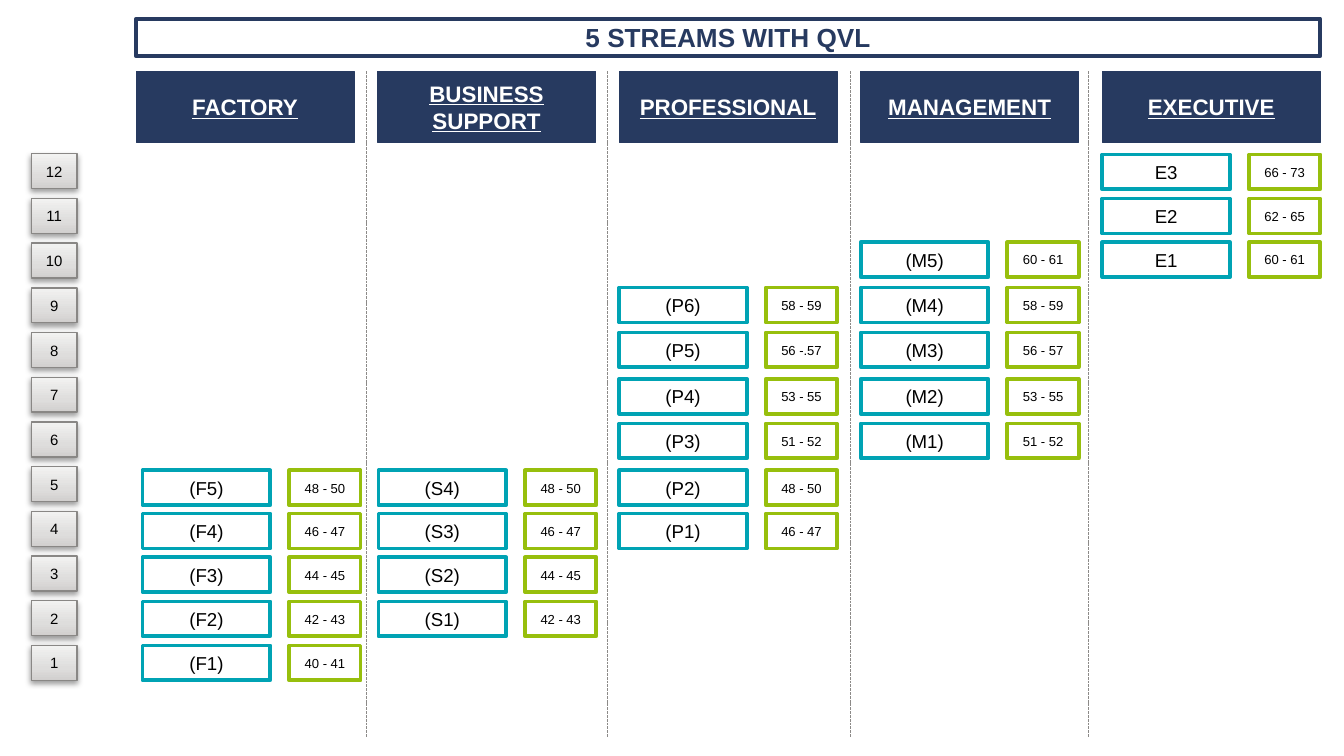
from lxml.etree import SubElement
from pptx import Presentation
from pptx.dml.color import RGBColor
from pptx.enum.dml import MSO_LINE_DASH_STYLE as DASH
from pptx.enum.shapes import MSO_CONNECTOR as CONNECTOR, MSO_SHAPE as SHAPE
from pptx.enum.text import MSO_ANCHOR as ANCHOR, MSO_AUTO_SIZE as AUTO_SIZE, PP_ALIGN as ALIGN
from pptx.oxml.ns import qn
from pptx.util import Pt

NAVY, TEAL, GREEN = "273A60", "00A3B4", "97BF0D"
WHITE, BLACK, GREY, LEVEL_LINE = "FFFFFF", "000000", "8C8A88", "898785"
LEVEL_STOPS = [(0, "D1CFCE"), (35, "DEDDDC"), (100, "F2F2F1")]

# Grid, in points
LEFT, PITCH, COL_W = 72.9, 129.4, 116.8
HEAD_Y, HEAD_H = 38.1, 38.2
ROW_H, GRADE_W, BAND_W = 18.7, 68.4, 38.2
BAND_DX = 78.6
LEVELS = 12
LEVEL_Y, LEVEL_PITCH = 82.4, 23.95
# Top of each grade row, from level 12 down to level 1
ROW_TOPS = [82.8, 106.4, 129.8, 154.1, 178.1, 203, 226.9, 252, 275.2, 298.6, 322.2, 345.8]
DIVIDERS = [196.4, 325.4, 455.7, 583.2]

# Name, indent of the rows, top level, grades with their bands
STREAMS = [
    ("FACTORY", 3.5, 5, [("(F5)", "48 - 50"), ("(F4)", "46 - 47"), ("(F3)", "44 - 45"),
                         ("(F2)", "42 - 43"), ("(F1)", "40 - 41")]),
    ("BUSINESS SUPPORT", 0.4, 5, [("(S4)", "48 - 50"), ("(S3)", "46 - 47"),
                                  ("(S2)", "44 - 45"), ("(S1)", "42 - 43")]),
    ("PROFESSIONAL", 0, 9, [("(P6)", "58 - 59"), ("(P5)", "56 -.57"), ("(P4)", "53 - 55"),
                            ("(P3)", "51 - 52"), ("(P2)", "48 - 50"), ("(P1)", "46 - 47")]),
    ("MANAGEMENT", 0, 10, [("(M5)", "60 - 61"), ("(M4)", "58 - 59"), ("(M3)", "56 - 57"),
                           ("(M2)", "53 - 55"), ("(M1)", "51 - 52")]),
    ("EXECUTIVE", 0, 12, [("E3", "66 - 73"), ("E2", "62 - 65"), ("E1", "60 - 61")]),
]


def rgb(color):
    return RGBColor.from_string(color)


def style_box(sp, fill, line, line_w):
    sp.fill.solid()
    sp.fill.fore_color.rgb = rgb(fill)
    sp.line.color.rgb = rgb(line)
    sp.line.width = Pt(line_w)


def write(sp, text, size, color, bold=False, underline=False):
    tf = sp.text_frame
    tf.word_wrap = True
    tf.auto_size = AUTO_SIZE.NONE
    tf.vertical_anchor = ANCHOR.MIDDLE
    tf.margin_left = tf.margin_right = tf.margin_top = tf.margin_bottom = Pt(0)
    p = tf.paragraphs[0]
    p.alignment = ALIGN.CENTER
    r = p.add_run()
    r.text = text
    r.font.name = "Arial"
    r.font.size = Pt(size)
    r.font.bold = bold
    r.font.underline = underline
    r.font.color.rgb = rgb(color)


def add_box(slide, x, y, w, h, fill, line, line_w):
    sp = slide.shapes.add_shape(SHAPE.RECTANGLE, Pt(x), Pt(y), Pt(w), Pt(h))
    sp.shadow.inherit = False
    style_box(sp, fill, line, line_w)
    return sp


def add_title(slide, x, y, w, h):
    sp = slide.shapes.title
    sp.left, sp.top, sp.width, sp.height = Pt(x), Pt(y), Pt(w), Pt(h)
    style_box(sp, WHITE, NAVY, 2)
    write(sp, "5 STREAMS WITH QVL", 14, NAVY, bold=True)


def add_divider(slide, x, top, bottom):
    line = slide.shapes.add_connector(CONNECTOR.STRAIGHT, Pt(x), Pt(top), Pt(x), Pt(bottom))
    line.line.color.rgb = rgb(GREY)
    line.line.width = Pt(0.5)
    line.line.dash_style = DASH.SQUARE_DOT
    SubElement(line._element.spPr, qn("a:effectLst"))


def add_stream(slide, x, y, name, indent, top_level, grades):
    # Header
    sp = add_box(slide, x, y, COL_W, HEAD_H, NAVY, NAVY, 0.25)
    write(sp, name, 12, WHITE, bold=True, underline=True)
    # Grades with their bands
    for top, (grade, band) in zip(ROW_TOPS[LEVELS - top_level:], grades):
        sp = add_box(slide, x + indent, top, GRADE_W, ROW_H, WHITE, TEAL, 2)
        write(sp, grade, 10, BLACK)
        sp = add_box(slide, x + indent + BAND_DX, top, BAND_W, ROW_H, WHITE, GREEN, 2)
        write(sp, band, 7, BLACK)


def shade_level(sp):
    # Three-stop gradient, dark at the bottom
    sp.fill.gradient()
    sp.fill.gradient_angle = 90
    stops = sp._element.spPr.find(".//" + qn("a:gsLst"))
    for stop in list(stops):
        stops.remove(stop)
    for pos, color in LEVEL_STOPS:
        stop = SubElement(stops, qn("a:gs"), pos=str(pos * 1000))
        SubElement(stop, qn("a:srgbClr"), val=color)
    # Soft shadow below
    effects = sp._element.spPr.find(qn("a:effectLst"))
    shadow = SubElement(effects, qn("a:outerShdw"), blurRad=str(Pt(3.1)), dist=str(Pt(1.6)),
                        dir="5400000", rotWithShape="0")
    color = SubElement(shadow, qn("a:srgbClr"), val=BLACK)
    SubElement(color, qn("a:alpha"), val="38000")


def add_levels(slide, x, y, w):
    for i in range(LEVELS):
        sp = add_box(slide, x, y + i * LEVEL_PITCH, w, ROW_H, WHITE, LEVEL_LINE, 0.75)
        shade_level(sp)
        write(sp, str(LEVELS - i), 8, BLACK)


def main():
    prs = Presentation()
    prs.slide_width, prs.slide_height = Pt(720), Pt(405)
    slide = prs.slides.add_slide(prs.slide_layouts[5])
    add_title(slide, LEFT, 10, 634.4, 20.2)
    for x in DIVIDERS:
        add_divider(slide, x, HEAD_Y, 394.6)
    for i, stream in enumerate(STREAMS):
        add_stream(slide, LEFT + i * PITCH, HEAD_Y, *stream)
    add_levels(slide, 16.8, LEVEL_Y, 24.4)
    prs.save("out.pptx")


if __name__ == "__main__":
    main()
